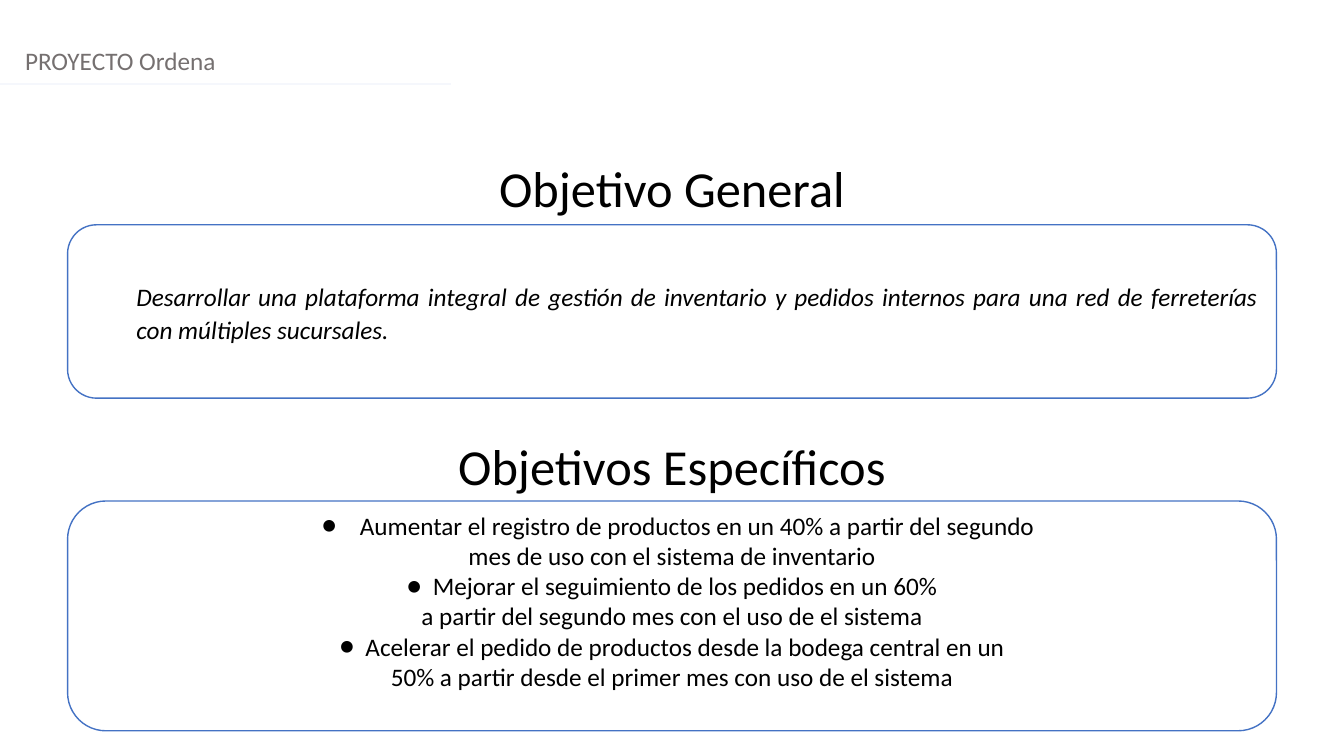
"""Build the project objectives slide."""
from lxml.etree import SubElement
from pptx import Presentation
from pptx.dml.color import RGBColor
from pptx.enum.shapes import MSO_CONNECTOR, MSO_SHAPE
from pptx.enum.text import MSO_ANCHOR, PP_ALIGN
from pptx.oxml.ns import qn
from pptx.util import Inches, Pt

PROJECT = "PROYECTO Ordena"
GENERAL_TITLE = "Objetivo General"
GENERAL = ("Desarrollar una plataforma integral de gestión de inventario y pedidos "
           "internos para una red de ferreterías con múltiples sucursales.")
SPECIFIC_TITLE = "Objetivos Específicos"
SPECIFIC = [
    (0.5, 0.38, "Aumentar el registro de productos en un 40% a partir del segundo",
     "mes de uso con el sistema de inventario"),
    (0.26, 0.26, "Mejorar el seguimiento de los pedidos en un 60%",
     "a partir del segundo mes con el uso de el sistema"),
    (0.26, 0.26, "Acelerar el pedido de productos desde la bodega central en un",
     "50% a partir desde el primer mes con uso de el sistema"),
]
BLACK, GREY, WHITE, BLUE, PALE = "000000", "757070", "FFFFFF", "4472C4", "F5F7FC"
WIDTH, HEIGHT = 13.33, 7.5
BODY = {"name": "Calibri", "size": Pt(18)}
HEADING = {"name": "Calibri", "size": Pt(36)}


def rgb(value):
    return RGBColor.from_string(value)


def apply(obj, values):
    for name, value in values.items():
        setattr(obj, name, value)


def write(p, text, font, color=BLACK, **layout):
    r = p.add_run()
    r.text = text
    apply(r.font, font)
    r.font.color.rgb = rgb(color)
    apply(p, layout)


def place(sp, left, top, width, height):
    apply(sp, {"left": Inches(left), "top": Inches(top),
               "width": Inches(width), "height": Inches(height)})
    apply(sp.text_frame, {"word_wrap": True, "vertical_anchor": MSO_ANCHOR.TOP})
    return sp.text_frame.paragraphs[0]


def text_box(s, *box):
    return place(s.shapes.add_textbox(0, 0, 0, 0), *box)


def panel(s, top, height):
    sp = s.shapes.add_shape(MSO_SHAPE.ROUNDED_RECTANGLE, 0, 0, 0, 0)
    place(sp, 0.67, top, 11.99, height)
    sp.shadow.inherit = False
    sp.fill.solid()
    sp.fill.fore_color.rgb = rgb(WHITE)
    sp.line.color.rgb = rgb(BLUE)
    sp.line.width = Pt(1)
    sp.text_frame.vertical_anchor = MSO_ANCHOR.MIDDLE
    return sp.text_frame


def indent(p, left, hanging=0):
    pPr = p._p.get_or_add_pPr()
    pPr.set("marL", str(Inches(left)))
    pPr.set("indent", str(-Inches(hanging)))
    return pPr


def bullet(p, left, hanging):
    pPr = indent(p, left, hanging)
    SubElement(SubElement(pPr, qn("a:buClr")), qn("a:srgbClr")).set("val", BLACK)
    SubElement(pPr, qn("a:buFont")).set("typeface", "Calibri")
    SubElement(pPr, qn("a:buChar")).set("char", "●")


def main():
    prs = Presentation()
    prs.slide_width, prs.slide_height = Inches(WIDTH), Inches(HEIGHT)
    s = prs.slides.add_slide(prs.slide_layouts[5])

    write(text_box(s, 0.15, 0.4, WIDTH, 0.4), PROJECT, BODY, GREY)
    rule = s.shapes.add_connector(MSO_CONNECTOR.STRAIGHT, 0, Inches(0.83),
                                  Inches(4.47), Inches(0.83))
    rule.line.color.rgb = rgb(PALE)
    rule.line.width = Pt(1.25)
    SubElement(rule._element.spPr, qn("a:effectLst"))

    general_p = place(s.shapes.title, 0, 1.51, WIDTH, 0.71)
    specific_p = text_box(s, 0, 4.27, WIDTH, 0.71)
    for p, title in ((general_p, GENERAL_TITLE), (specific_p, SPECIFIC_TITLE)):
        write(p, title, HEADING, alignment=PP_ALIGN.CENTER)

    p = panel(s, 2.23, 1.72).paragraphs[0]
    write(p, GENERAL, {**BODY, "italic": True}, alignment=PP_ALIGN.JUSTIFY,
          line_spacing=1.08, space_after=Pt(8))
    indent(p, 0.5)

    tf = panel(s, 4.97, 2.28)
    tf.margin_bottom = Inches(0.35)
    p = tf.paragraphs[0]
    for left, hanging, lead, rest in SPECIFIC:
        p = p if lead == SPECIFIC[0][2] else tf.add_paragraph()
        write(p, lead, BODY, alignment=PP_ALIGN.CENTER)
        bullet(p, left, hanging)
        write(tf.add_paragraph(), rest, BODY, alignment=PP_ALIGN.CENTER)

    prs.save("out.pptx")


if __name__ == "__main__":
    main()
